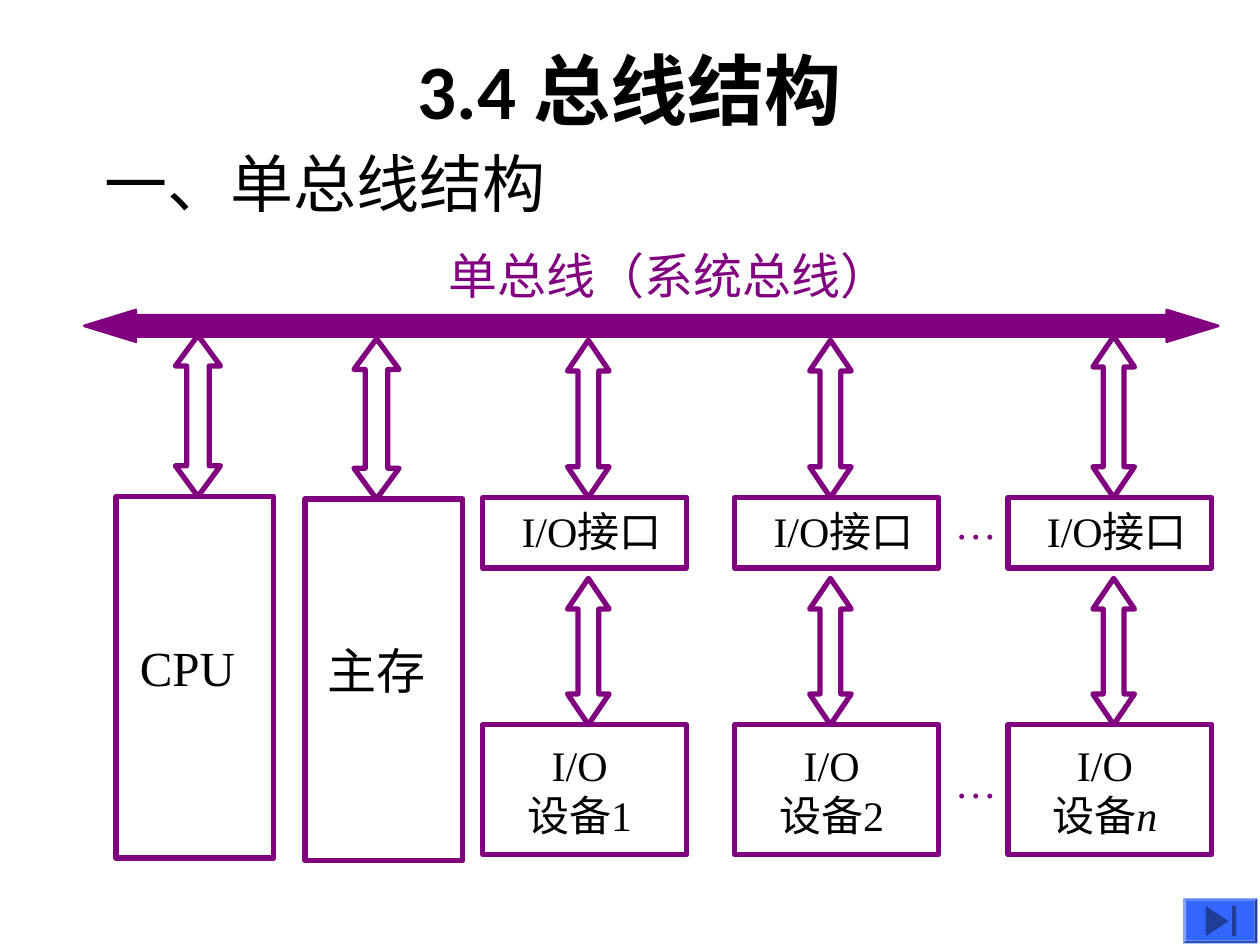
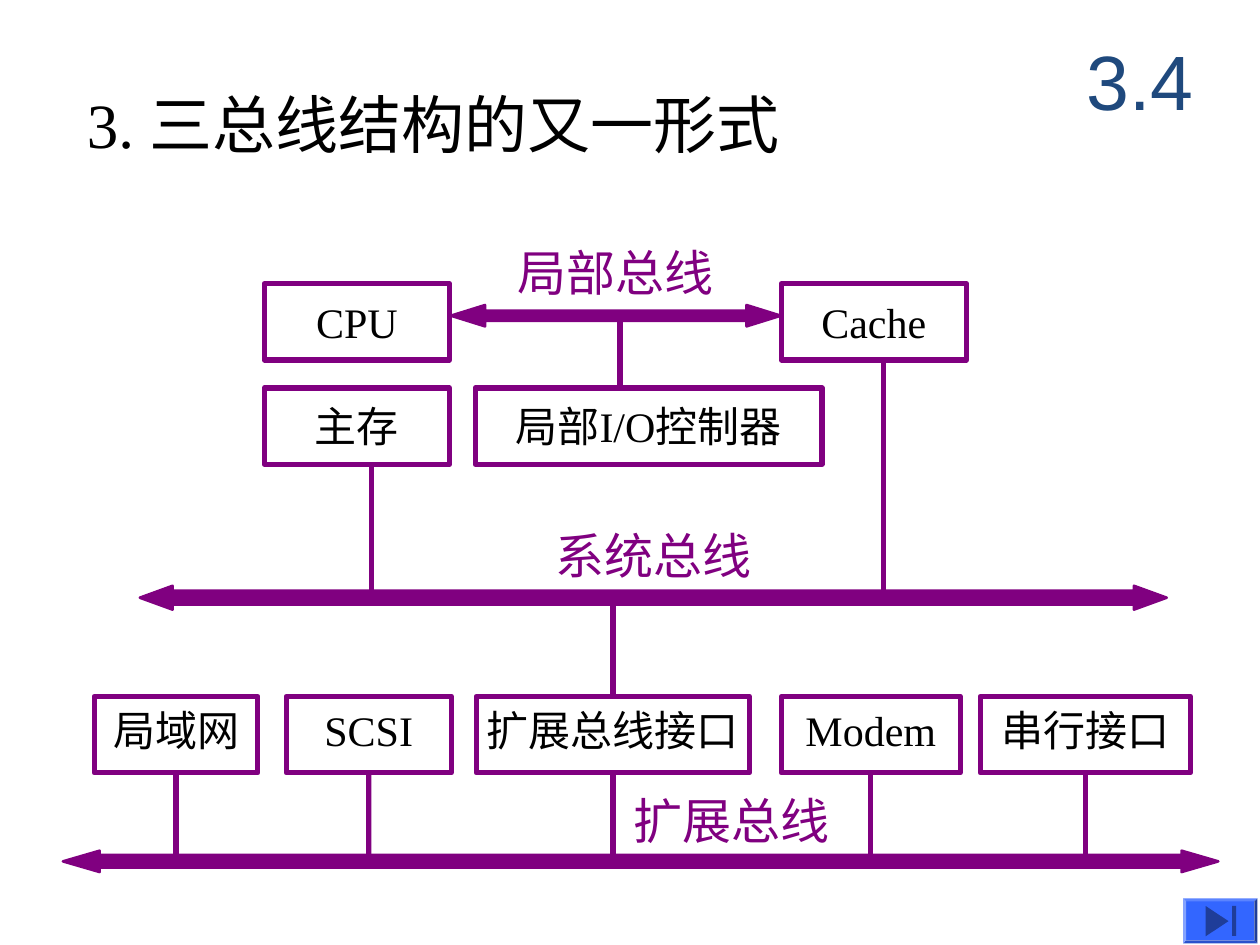
import pptx
import pptx.dml.color
import pptx.enum.shapes
import pptx.enum.text
import pptx.util
from pptx.oxml.ns import qn
from lxml import etree

Cm, Pt = pptx.util.Cm, pptx.util.Pt
SHAPE = pptx.enum.shapes.MSO_SHAPE
ALIGN = pptx.enum.text.PP_ALIGN
COLORS = {"text": "000000", "bus": "800080", "number": "1F497D",
          "button": "3366FF", "icon": "1F3D99"}
SERIF, SANS = "Times New Roman", "Calibri"
LINE_WIDTH = 3
SLIDE_WIDTH, SLIDE_HEIGHT = 25.4, 19.05


def rgb(name):
    """Return the named palette colour."""
    return pptx.dml.color.RGBColor.from_string(COLORS[name])


def add_run(paragraph, text, size, font, color="text", bold=False, italic=False):
    """Append one formatted run to a paragraph."""
    run = paragraph.add_run()
    run.text = text
    run.font.name, run.font.size = font, Pt(size)
    run.font.bold, run.font.italic = bold, italic
    run.font.color.rgb = rgb(color)


def prepare_frame(shape, wrap=True):
    """Give a shape's text frame zero margins and middle anchoring."""
    frame = shape.text_frame
    frame.margin_left = frame.margin_right = 0
    frame.margin_top = frame.margin_bottom = 0
    frame.vertical_anchor = pptx.enum.text.MSO_ANCHOR.MIDDLE
    frame.word_wrap = wrap
    return frame


def add_text(slide, place, text, size, font, color="text", align=ALIGN.LEFT, bold=False):
    """Add a one-line text box."""
    text_box = slide.shapes.add_textbox(*map(Cm, place))
    paragraph = prepare_frame(text_box, wrap=False).paragraphs[0]
    paragraph.alignment = align
    add_run(paragraph, text, size, font, color, bold)


def add_heading(slide, left, top, text):
    """Add the section heading of a slide."""
    add_text(slide, (left, top, 14.8, 1.78), text, 36, SERIF)


def add_bus_label(slide, center, top, text):
    """Add the purple name of a bus, centred and with room to spare."""
    width = len(text) + 1
    add_text(slide, (center - width / 2, top, width, 1.19), text, 28, SANS,
             "bus", ALIGN.CENTER)


def add_preset(slide, kind, place, fill=None, line=None, line_width=LINE_WIDTH):
    """Add a preset shape with an optional fill and outline."""
    shape = slide.shapes.add_shape(kind, *map(Cm, place))
    shape.shadow.inherit = False
    if fill:
        shape.fill.solid()
        shape.fill.fore_color.rgb = rgb(fill)
    else:
        shape.fill.background()
    if line:
        shape.line.color.rgb = rgb(line)
        shape.line.width = Pt(line_width)
    else:
        shape.line.fill.background()
    return shape


def add_box(slide, place, lines, size=24, font=SERIF, shift=0, lift=0):
    """Add an outlined box; each line is a list of (text, italic) runs."""
    box = add_preset(slide, SHAPE.RECTANGLE, place, line="bus")
    frame = prepare_frame(box)
    frame.margin_left, frame.margin_right = Cm(max(0, 2 * shift)), Cm(max(0, -2 * shift))
    frame.margin_bottom = Cm(2 * lift)
    for index, runs in enumerate(lines):
        paragraph = frame.add_paragraph() if index else frame.paragraphs[0]
        paragraph.alignment = ALIGN.CENTER
        for text, italic in runs:
            add_run(paragraph, text, size, font, italic=italic)
    return box


def add_double_arrow(slide, place, shaft, head, fill=None, line_width=LINE_WIDTH):
    """Add a two-headed block arrow with a shaft ratio and a head length."""
    arrow = add_preset(slide, SHAPE.LEFT_RIGHT_ARROW, place, fill, "bus", line_width)
    arrow.adjustments[0] = shaft
    arrow.adjustments[1] = head / place[3]
    return arrow


def add_bus(slide, place, shaft, head):
    """Add a solid horizontal bus with a head at each end."""
    add_double_arrow(slide, place, shaft, head, "bus", 1.5)


def add_link_arrow(slide, center, top, bottom, width=0.84):
    """Add an outlined vertical double arrow."""
    length = bottom - top
    place = (center - length / 2, (top + bottom - width) / 2, length, width)
    add_double_arrow(slide, place, 0.5, 0.62).rotation = 90


def add_line(slide, x, top, bottom):
    """Add a vertical connecting line."""
    line = slide.shapes.add_connector(pptx.enum.shapes.MSO_CONNECTOR.STRAIGHT,
                                      Cm(x), Cm(top), Cm(x), Cm(bottom))
    line.line.color.rgb = rgb("bus")
    line.line.width = Pt(LINE_WIDTH)
    properties = line._element.find(qn("p:spPr"))
    etree.SubElement(properties, qn("a:effectLst"))
    return line


def add_end_button(slide):
    """Add the bevelled button in the bottom right corner."""
    button = add_preset(slide, SHAPE.BEVEL, (23.85, 18.11, 1.5, 0.91), "button")
    button.adjustments[0] = 0.07
    triangle = add_preset(slide, SHAPE.ISOSCELES_TRIANGLE, (24.23, 18.34, 0.61, 0.46), "icon")
    triangle.rotation = 90
    add_preset(slide, SHAPE.RECTANGLE, (24.84, 18.26, 0.08, 0.61), "icon")


def build_single_bus(slide):
    """Draw the single bus structure."""
    add_text(slide, (1.9, 0.2, 21.6, 3.18), "3.4 总线结构", 44, SANS,
             align=ALIGN.CENTER, bold=True)
    add_heading(slide, 2.11, 2.79, "一、单总线结构")
    add_bus_label(slide, 13.49, 4.95, "单总线（系统总线）")
    add_bus(slide, (1.7, 6.25, 22.86, 0.64), 0.67, 1.04)

    for name, left, top, arrow_center, arrow_top in (
            ("CPU", 2.34, 10.01, 3.99, 6.76), ("主存", 6.15, 10.06, 7.59, 6.83)):
        add_box(slide, (left, top, 3.18, 7.29), [[(name, False)]], 28,
                shift=-0.15, lift=0.2)
        add_link_arrow(slide, arrow_center, arrow_top, top, 0.91)

    interface_top, device_top, width = 10.03, 14.61, 4.11
    for number, left, arrow_center, arrow_top in (
            ("1", 9.73, 11.86, 6.86), ("2", 14.81, 16.74, 6.86), ("n", 20.32, 22.45, 6.78)):
        add_box(slide, (left, interface_top, width, 1.42), [[("I/O接口", False)]],
                shift=0.14, lift=0.05)
        add_box(slide, (left, device_top, width, 2.62),
                [[("I/O", False)], [("设备", False), (number, number == "n")]], shift=-0.1)
        add_link_arrow(slide, arrow_center, arrow_top, interface_top)
        add_link_arrow(slide, arrow_center, 11.66, device_top)
    for top in (interface_top, 15.24):
        add_text(slide, (19.25, top, 0.85, 1.02), "…", 24, SERIF, "bus")


def build_three_buses(slide):
    """Draw the alternative three bus structure."""
    add_heading(slide, 1.75, 1.6, "3. 三总线结构的又一形式")
    add_text(slide, (21.39, 0.43, 3.18, 2.34), "3.4", 44, "Arial", "number", ALIGN.CENTER)

    for label, center, top, bus, shaft, head in (
            ("局部总线", 12.41, 4.88, (9.09, 6.15, 6.65, 0.43), 0.47, 0.69),
            ("系统总线", 13.17, 10.59, (2.82, 11.81, 20.7, 0.48), 0.58, 0.66),
            ("扩展总线", 14.75, 15.93, (1.27, 17.15, 23.29, 0.43), 0.59, 0.74)):
        add_bus_label(slide, center, top, label)
        add_bus(slide, bus, shaft, head)

    for name, font, left, top, width in (
            ("CPU", SERIF, 5.33, 5.72, 3.73), ("Cache", SERIF, 15.75, 5.72, 3.73),
            ("主存", SANS, 5.33, 7.82, 3.73), ("局部I/O控制器", SERIF, 9.58, 7.82, 6.99)):
        add_box(slide, (left, top, width, 1.54), [[(name, False)]], font=font)
    for x, top, bottom in ((7.49, 9.36, 12.08), (17.81, 7.26, 12.08), (12.5, 6.36, 7.82)):
        add_line(slide, x, top, bottom)

    device_top, device_height = 14.04, 1.54
    for name, font, left, width in (
            ("局域网", SANS, 1.9, 3.3), ("SCSI", SERIF, 5.77, 3.33),
            ("扩展总线接口", SANS, 9.6, 5.51), ("Modem", SERIF, 15.75, 3.61),
            ("串行接口", SANS, 19.76, 4.24)):
        box = add_box(slide, (left, device_top, width, device_height),
                      [[(name, False)]], font=font, lift=0.1)
        center = left + width / 2
        add_line(slide, center, device_top + device_height, 17.36).begin_connect(box, 2)
        if name == "扩展总线接口":
            add_line(slide, center, 12.08, device_top).end_connect(box, 0)


def main():
    """Build both slides and save the presentation."""
    presentation = pptx.Presentation()
    presentation.slide_width = Cm(SLIDE_WIDTH)
    presentation.slide_height = Cm(SLIDE_HEIGHT)
    for build in (build_single_bus, build_three_buses):
        slide = presentation.slides.add_slide(presentation.slide_layouts[6])
        build(slide)
        add_end_button(slide)
    presentation.save("out.pptx")


if __name__ == "__main__":
    main()
